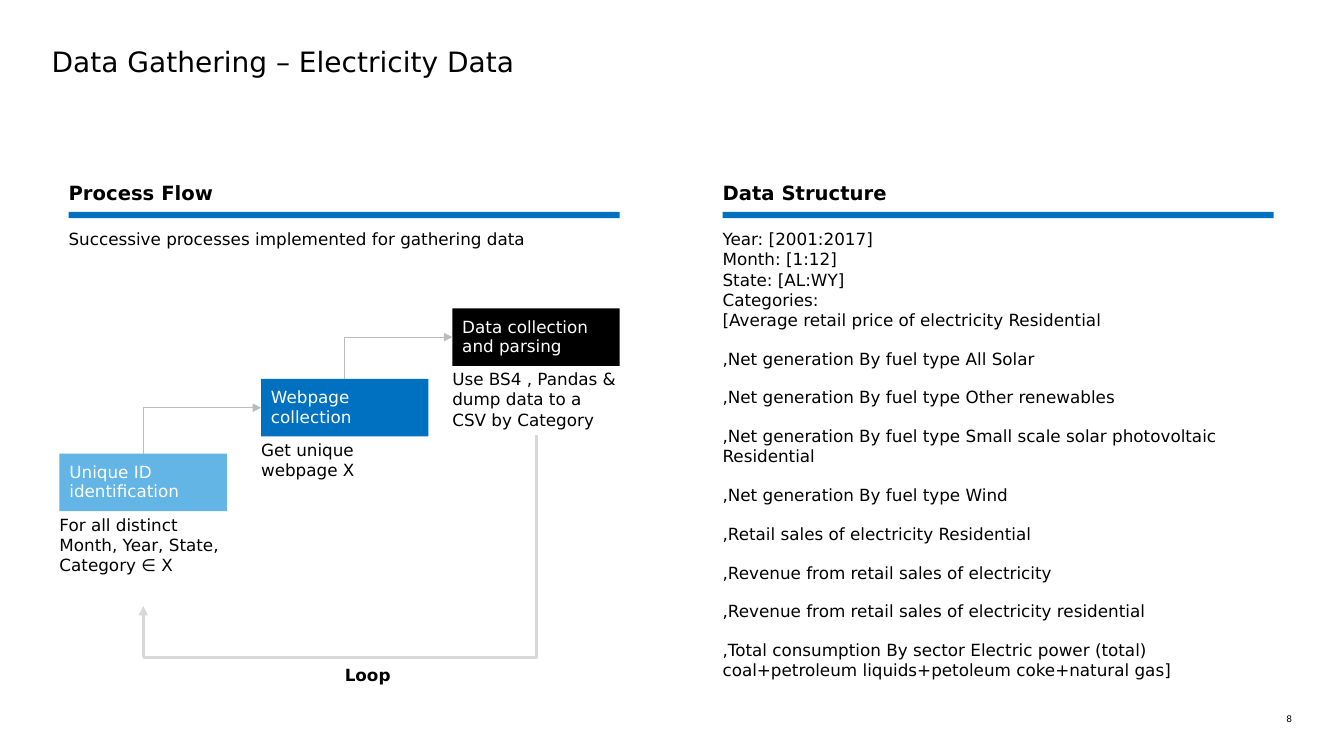
"""Build the slide on gathering electricity data."""
from lxml.etree import SubElement
from pptx import Presentation
from pptx.dml.color import RGBColor
from pptx.enum.shapes import MSO_CONNECTOR, MSO_SHAPE
from pptx.enum.text import MSO_ANCHOR, PP_ALIGN
from pptx.oxml.ns import qn
from pptx.util import Cm, Pt

deck = Presentation()
deck.slide_width, deck.slide_height = Cm(33.87), Cm(19.05)
slide = deck.slides.add_slide(deck.slide_layouts[6])
shapes = slide.shapes
color = RGBColor.from_string


def box(x, y, w, h, lines=(), size=12, bold=False, fill=None, align=PP_ALIGN.LEFT):
    place = Cm(x), Cm(y), Cm(w), Cm(h)
    if fill:
        shape = shapes.add_shape(MSO_SHAPE.RECTANGLE, *place)
        shape.shadow.inherit = False
        shape.fill.solid()
        shape.fill.fore_color.rgb = color(fill)
        shape.line.fill.background()
    else:
        shape = shapes.add_textbox(*place)
    frame = shape.text_frame
    frame.word_wrap = True
    frame.vertical_anchor = MSO_ANCHOR.MIDDLE if fill else MSO_ANCHOR.TOP
    inset = Cm(0.25 if fill else 0)
    frame.margin_left = frame.margin_right = inset
    frame.margin_top = frame.margin_bottom = inset
    for i, line in enumerate(lines):
        para = frame.add_paragraph() if i else frame.paragraphs[0]
        para.text = line
        para.alignment = align
        para.space_before = Pt(13.3 if i else 0)
        para.line_spacing = 0.95 if fill else 1.0
        font = para.font
        font.name, font.size, font.bold = "DejaVu Sans", Pt(size), bold
        font.color.rgb = color("FFFFFF" if fill else "000000")


def link(x1, y1, x2, y2, tint, width, arrow=True):
    bent = x1 != x2
    kind = MSO_CONNECTOR.STRAIGHT
    ends = x1, y1, x2, y2
    if bent:
        kind = MSO_CONNECTOR.ELBOW
        midx, midy = (x1 + x2) / 2, (y1 + y2) / 2
        halfw, halfh = abs(y2 - y1) / 2, abs(x2 - x1) / 2
        ends = midx - halfw, midy - halfh, midx + halfw, midy + halfh
    line = shapes.add_connector(kind, *map(Cm, ends))
    line.line.color.rgb = color(tint)
    line.line.width = Pt(width)
    props = line._element.spPr
    if bent:
        props.find(qn("a:prstGeom")).set("prst", "bentConnector2")
        turn = 90 if y2 > y1 else 270
        props.find(qn("a:xfrm")).set("rot", str(turn * 60000))
    if arrow:
        SubElement(props.find(qn("a:ln")), qn("a:tailEnd"), type="triangle")
    SubElement(props, qn("a:effectLst"))


box(1.3, 1.12, 31.27, 0.94, ["Data Gathering – Electricity Data"], 20)
box(31.7, 17.98, 0.86, 0.28, ["8"], 6.5, align=PP_ALIGN.RIGHT)

facts = [
    "Year: [2001:2017]\nMonth: [1:12]\nState: [AL:WY]\nCategories:\n"
    "[Average retail price of electricity Residential",
    ",Net generation By fuel type All Solar",
    ",Net generation By fuel type Other renewables",
    ",Net generation By fuel type Small scale solar photovoltaic Residential",
    ",Net generation By fuel type Wind",
    ",Retail sales of electricity Residential",
    ",Revenue from retail sales of electricity",
    ",Revenue from retail sales of electricity residential",
    ",Total consumption By sector Electric power (total) "
    "coal+petroleum liquids+petoleum coke+natural gas]",
]
panels = [
    (1.73, "Process Flow", ["Successive processes implemented for gathering data"], 1.5),
    (18.21, "Data Structure", facts, 10.69),
]
for x, head, lines, h in panels:
    box(x, 4.57, 13.89, 0.64, [head], 14, True)
    box(x, 5.34, 13.89, 0.16, fill="0070C0")
    box(x, 5.77, 13.89, h, lines)

steps = [
    (1.5, 11.43, "62B5E5", "Unique ID identification",
     "For all distinct Month, Year, State, Category ∈ X"),
    (6.58, 9.55, "0070C0", "Webpage collection", "Get unique webpage X"),
    (11.4, 7.77, "000000", "Data collection and parsing",
     "Use BS4 , Pandas & dump data to a CSV by Category"),
]
wide, high = 4.22, 1.45
for x, y, tint, name, note in steps:
    box(x, y, wide, high, [name], fill=tint)
    box(x, y + 1.53, wide, 1.55, [note])
for step, after in zip(steps, steps[1:]):
    link(step[0] + wide / 2, step[1], after[0], after[1] + high / 2, "BBBCBC", 0.75)

first, last = steps[0][0] + wide / 2, steps[-1][0] + wide / 2
link(last, 10.97, first, 16.56, "D8D8D8", 2.25, arrow=False)
link(first, 16.56, first, 15.27, "D8D8D8", 2.25)
box(8.69, 16.74, 1.57, 0.51, ["Loop"], bold=True)

deck.save("out.pptx")
